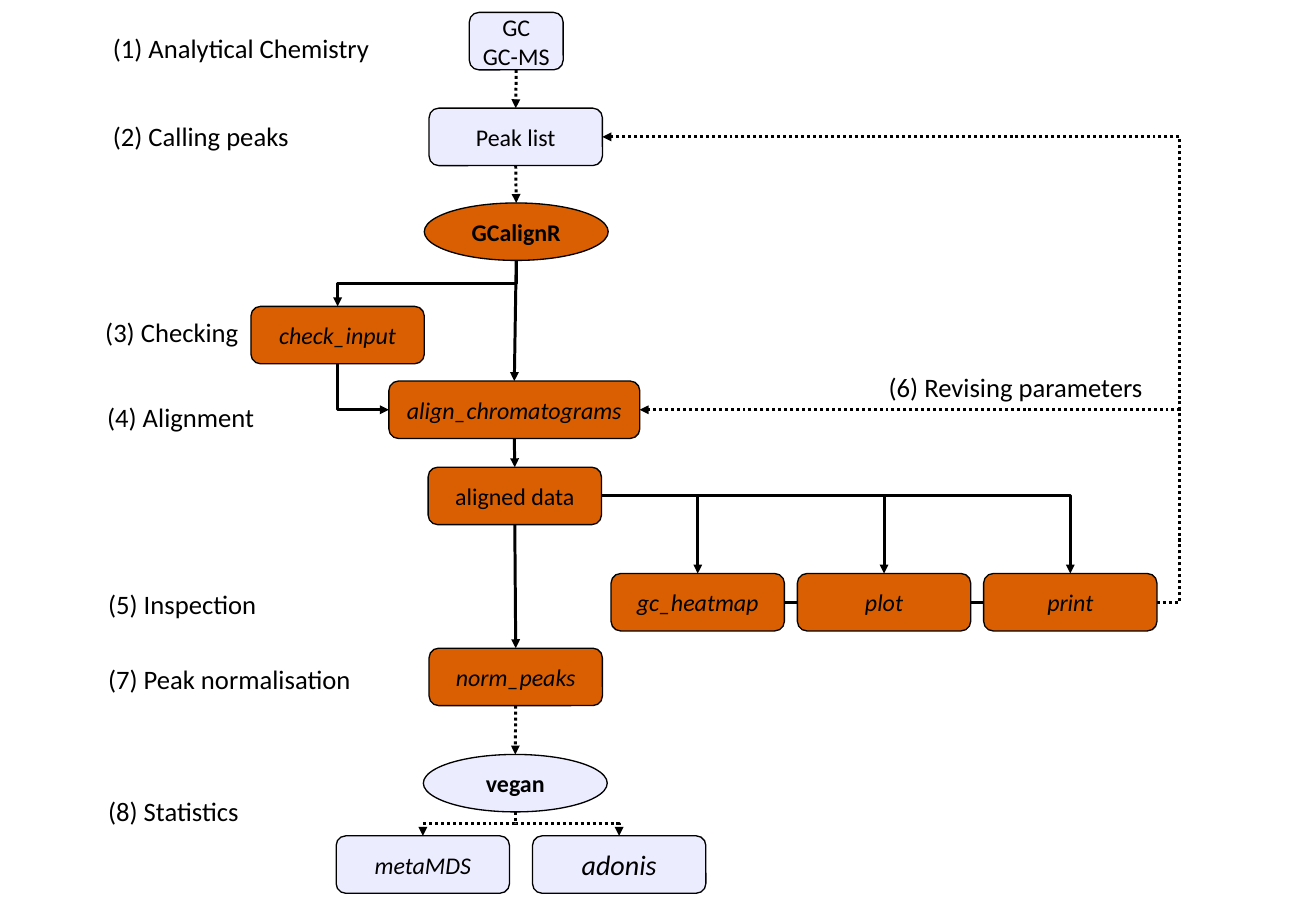
import dataclasses

import lxml.etree
import pptx
import pptx.dml.color
import pptx.enum.dml
import pptx.enum.shapes
import pptx.enum.text
import pptx.oxml.ns
import pptx.util

PX = 9144  # EMU per px, 100 px to the inch
BOX_W, OVAL_W, NODE_H = 181, 192, 60
TOP, LEFT, BOTTOM, RIGHT = range(4)

RGB = pptx.dml.color.RGBColor
SHAPE = pptx.enum.shapes.MSO_SHAPE
CONNECTOR = pptx.enum.shapes.MSO_CONNECTOR
ALIGN = pptx.enum.text.PP_ALIGN
qn = pptx.oxml.ns.qn


@dataclasses.dataclass(frozen=True)
class Theme:
    font: str = "Calibri"
    ink: RGB = RGB(0x00, 0x00, 0x00)
    package_fill: RGB = RGB(0xD9, 0x5F, 0x02)
    external_fill: RGB = RGB(0xEC, 0xEC, 0xFF)
    node_size: float = 18
    large_size: float = 21.1
    label_size: float = 20
    outline: float = 1
    arrow: float = 2.25


THEME = Theme()


def px(n):
    return int(n * PX)


def add_text(tf, lines, size, align, **fmt):
    """Write one paragraph per line with the shared font."""
    for i, line in enumerate(lines.split("\n")):
        p = tf.paragraphs[0] if i == 0 else tf.add_paragraph()
        p.alignment = align
        r = p.add_run()
        r.text = line
        r.font.color.rgb = THEME.ink
        values = {"name": THEME.font, "size": pptx.util.Pt(size), **fmt}
        for name, value in values.items():
            setattr(r.font, name, value)


def add_node(s, text, x, y, fill, w=BOX_W, kind=SHAPE.ROUNDED_RECTANGLE,
             size=THEME.node_size, **fmt):
    sp = s.shapes.add_shape(kind, px(x), px(y), px(w), px(NODE_H))
    sp.shadow.inherit = False
    sp.fill.solid()
    sp.fill.fore_color.rgb = fill
    sp.line.color.rgb = THEME.ink
    sp.line.width = pptx.util.Pt(THEME.outline)
    tf = sp.text_frame
    tf.word_wrap = True
    tf.vertical_anchor = pptx.enum.text.MSO_ANCHOR.MIDDLE
    add_text(tf, text, size, ALIGN.CENTER, **fmt)
    return sp


def add_label(s, text, x, y, w):
    sp = s.shapes.add_textbox(px(x), px(y), px(w), px(44))
    sp.text_frame.word_wrap = True
    add_text(sp.text_frame, text, THEME.label_size, ALIGN.LEFT)


def side(sp, n):
    """Middle of a node's side, in EMU."""
    mx, my = sp.left + sp.width // 2, sp.top + sp.height // 2
    return [(mx, sp.top), (sp.left, my),
            (mx, sp.top + sp.height), (sp.left + sp.width, my)][n]


def add_line(s, kind, begin, end, dotted=False, head=True):
    c = s.shapes.add_connector(kind, *begin, *end)
    c.line.color.rgb = THEME.ink
    c.line.width = pptx.util.Pt(THEME.arrow)
    if dotted:
        c.line.dash_style = pptx.enum.dml.MSO_LINE.ROUND_DOT
    if head:
        lxml.etree.SubElement(c.line._get_or_add_ln(), qn("a:tailEnd"),
                              type="triangle")
    lxml.etree.SubElement(c._element.spPr, qn("a:effectLst"))
    return c


def add_link(s, a, b, sides=(BOTTOM, TOP), **style):
    """Straight connector; an oval's lower site has no rectangle index."""
    c = add_line(s, CONNECTOR.STRAIGHT, side(a, sides[0]),
                 side(b, sides[1]), **style)
    if a.auto_shape_type != SHAPE.OVAL:
        c.begin_connect(a, sides[0])
    c.end_connect(b, sides[1])


def set_corner(c):
    c._element.spPr.find(qn("a:prstGeom")).set("prst", "bentConnector2")


def add_across(s, a, b):
    """Elbow that runs right from a, then down onto b."""
    set_corner(add_line(s, CONNECTOR.ELBOW, side(a, RIGHT), side(b, TOP)))


def add_return(s, a, b, via):
    """Dotted elbow that leaves and enters on the right, by way of x = via."""
    begin, end = side(a, RIGHT), side(b, RIGHT)
    c = add_line(s, CONNECTOR.ELBOW, begin, end, dotted=True)
    bend = round(100000 * (px(via) - begin[0]) / (end[0] - begin[0]))
    geom = c._element.spPr.find(qn("a:prstGeom"))
    lxml.etree.SubElement(geom.get_or_add_avLst(), qn("a:gd"),
                          name="adj1", fmla=f"val {bend}")


def add_down(s, a, b, enter=TOP, **style):
    """Elbow that first runs down: a turned connector about the same centre."""
    (x1, y1), (x2, y2) = side(a, BOTTOM), side(b, enter)
    mx, my = (x1 + x2) // 2, (y1 + y2) // 2
    turn = 1 if x2 < x1 else -1
    dx, dy = turn * (y2 - y1) // 2, abs(x2 - x1) // 2
    c = add_line(s, CONNECTOR.ELBOW, (mx - dx, my - dy), (mx + dx, my + dy),
                 **style)
    c._element.spPr.find(qn("a:xfrm")).set(
        "rot", str((90 if turn == 1 else 270) * 60000))
    if enter == LEFT:
        set_corner(c)


def main():
    prs = pptx.Presentation()
    prs.slide_width = pptx.util.Cm(34.9)
    prs.slide_height = pptx.util.Cm(24.3)
    s = prs.slides.add_slide(prs.slide_layouts[6])
    own, ext = THEME.package_fill, THEME.external_fill
    oval = {"kind": SHAPE.OVAL, "w": OVAL_W, "bold": True}

    # Main column
    gc = add_node(s, "GC\nGC-MS", 490, 13, ext, w=98)
    peaks = add_node(s, "Peak list", 448, 113, ext)
    gcalignr = add_node(s, "GCalignR", 443, 212, own, **oval)
    check = add_node(s, "check_input", 262, 320, own, italic=True)
    align = add_node(s, "align_chromatograms", 406, 398, own, w=262,
                     italic=True)
    aligned = add_node(s, "aligned data", 447, 488, own)
    norm = add_node(s, "norm_peaks", 448, 677, own, italic=True)
    vegan = add_node(s, "vegan", 442, 788, ext, **oval)

    # Inspection row and statistics
    inspection = [add_node(s, name, 638 + 194.5 * i, 599, own, italic=True)
                  for i, name in enumerate(["gc_heatmap", "plot", "print"])]
    mds = add_node(s, "metaMDS", 351, 873, ext, italic=True)
    adonis = add_node(s, "adonis", 556, 873, ext, italic=True,
                      size=THEME.large_size)

    # Straight arrows
    for a, b, dotted in [(gc, peaks, True), (peaks, gcalignr, True),
                         (gcalignr, align, False), (align, aligned, False),
                         (aligned, norm, False), (norm, vegan, True)]:
        add_link(s, a, b, dotted=dotted)
    for a, b in zip(inspection, inspection[1:]):
        add_link(s, a, b, sides=(RIGHT, LEFT), head=False)

    # Elbow arrows
    add_down(s, gcalignr, check)
    add_down(s, check, align, enter=LEFT)
    for sp in inspection:
        add_across(s, aligned, sp)
    for sp in (mds, adonis):
        add_down(s, vegan, sp, dotted=True)
    for sp in (peaks, align):
        add_return(s, inspection[-1], sp, via=1232)

    # Step labels
    for text, x, y, w in [
        ("(1) Analytical Chemistry", 108, 28, 304),
        ("(2) Calling peaks", 108, 120, 235),
        ("(3) Checking", 100, 325, 235),
        ("(4) Alignment", 102, 414, 235),
        ("(5) Inspection", 103, 609, 235),
        ("(6) Revising parameters", 918, 382, 318),
        ("(7) Peak normalisation", 103, 687, 283),
        ("(8) Statistics", 103, 825, 235),
    ]:
        add_label(s, text, x, y, w)

    prs.save("out.pptx")


if __name__ == "__main__":
    main()
